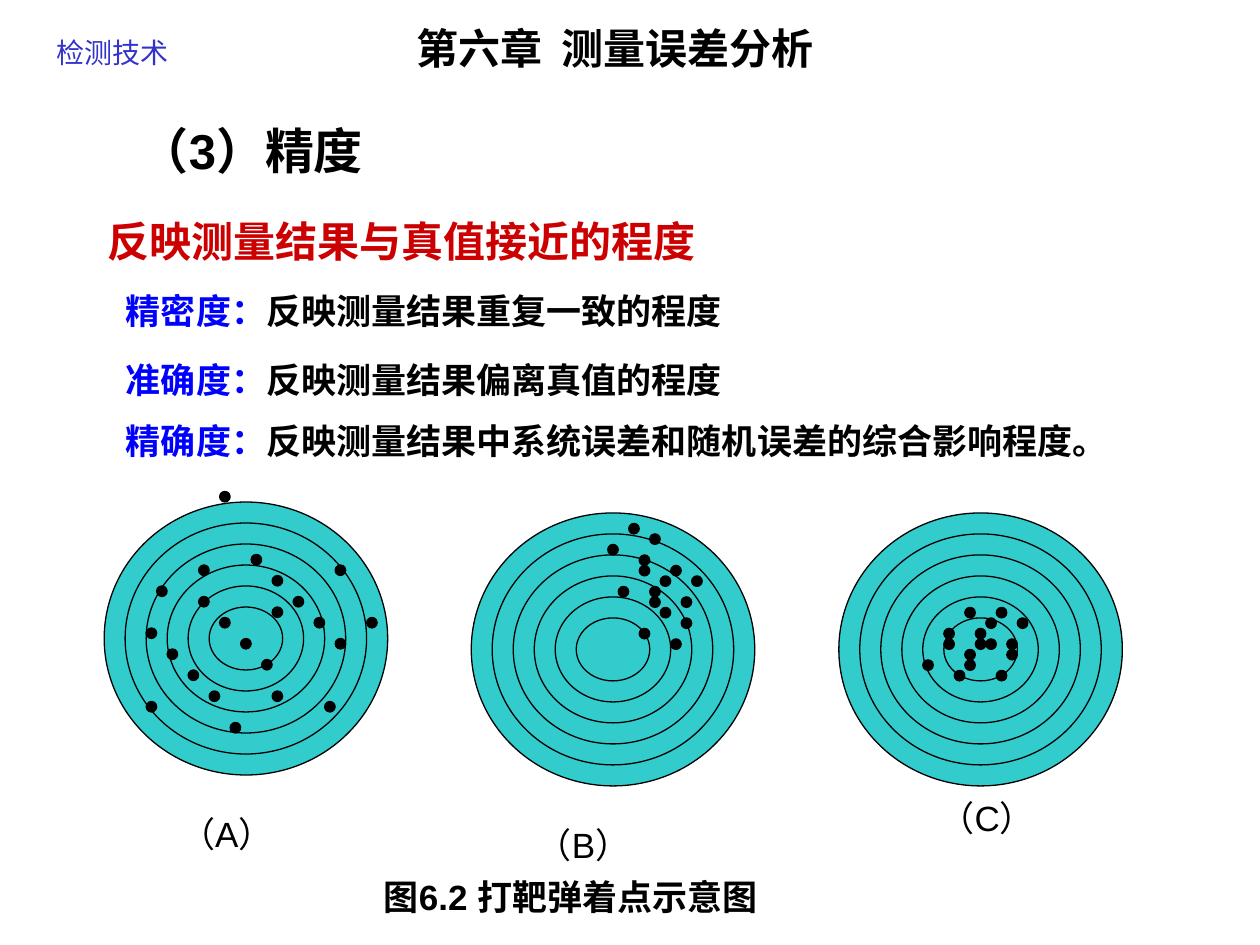
from dataclasses import dataclass

from pptx import Presentation
from pptx.dml.color import RGBColor
from pptx.enum.shapes import MSO_SHAPE as Shape
from pptx.enum.text import MSO_ANCHOR as Anchor, PP_ALIGN as Align
from pptx.util import Cm, Pt

BLACK = RGBColor(0, 0, 0)
RED = RGBColor(0xCC, 0, 0)
BLUE = RGBColor(0, 0, 0xFF)
INDIGO = RGBColor(0x33, 0x33, 0xCC)
TEAL = RGBColor(0x33, 0xCC, 0xCC)

STEP = Cm(2.54) / 12  # grid unit of rings and hits
RINGS = 6


@dataclass
class Label:
    """Text box in cm; words are (text, colour) pairs."""
    left: float
    top: float
    width: float
    height: float
    words: list
    size: int
    bold: bool = True
    font: str = "Arial"
    align: Align = Align.LEFT
    anchor: Anchor = Anchor.TOP
    wrap: bool = True


@dataclass
class Target:
    """Top left corner in cm; hits are (column, row) in grid steps."""
    left: float
    top: float
    hits: list


def row(col: int, line: int) -> list:
    """Four hits along a falling diagonal."""
    return [(col + 2 * i, line + 2 * i) for i in range(4)]


def knot(col: int, line: int) -> list:
    """Four hits in a tight cluster."""
    return [(col + x, line + y) for x, y in ((0, 0), (-3, -1), (-1, -3), (1, -2))]


def term(top: float, width: float, name: str, text: str, wrap: bool = True) -> Label:
    return Label(2.29, top, width, 1.12, [(name, BLUE), (text, BLACK)], 20, wrap=wrap)


def mark(left: float, top: float, letter: str) -> Label:
    return Label(left, top, 3.38, 1.12, [(f"（{letter}）", BLACK)], 20, bold=False)


LABELS = [
    Label(0.89, 0.56, 5.99, 0.97, [("检测技术", INDIGO)], 16, bold=False,
          font="Noto Sans CJK JP", anchor=Anchor.MIDDLE),
    Label(8.15, 0.33, 8.51, 1.27, [("第六章  测量误差分析", BLACK)], 24, wrap=False),
    Label(2.11, 2.31, 5.92, 1.45, [("（3）精度", BLACK)], 28, align=Align.CENTER),
    Label(1.91, 4.22, 21.59, 1.27, [("反映测量结果与真值接近的程度", RED)], 24),
    term(5.72, 14.88, "精密度：", "反映测量结果重复一致的程度"),
    term(7.11, 13.21, "准确度：", "反映测量结果偏离真值的程度"),
    term(8.33, 20.29, "精确度：",
         "反映测量结果中系统误差和随机误差的综合影响程度。", wrap=False),
    mark(3.38, 16.26, "A"),
    mark(10.57, 16.48, "B"),
    mark(18.69, 15.93, "C"),
    Label(7.49, 17.53, 12.27, 1.12, [("图6.2 打靶弹着点示意图", BLACK)], 20),
]

TARGETS = [
    Target(2.1, 10.12, row(14, 5) + row(9, 9) + row(4, 12) + [
        (5, 8), (16, 10), (16, 18), (9, 6), (22, 6), (22, 13),
        (21, 19), (12, 21), (4, 19), (11, -1), (25, 11)]),
    Target(9.5, 10.34, knot(20, 8) + knot(17, 8) + knot(16, 4) + knot(19, 12)),
    Target(16.91, 10.34, knot(13, 12) + knot(16, 12) + knot(11, 15) + knot(15, 15)),
]


def write(slide, label: Label) -> None:
    box = slide.shapes.add_textbox(Cm(label.left), Cm(label.top),
                                   Cm(label.width), Cm(label.height))
    frame = box.text_frame
    frame.word_wrap = label.wrap
    frame.vertical_anchor = label.anchor
    para = frame.paragraphs[0]
    para.alignment = label.align
    para.font.size = Pt(label.size)
    para.font.bold = label.bold
    para.font.name = label.font
    for text, color in label.words:
        run = para.add_run()
        run.text = text
        run.font.color.rgb = color


def disc(slide, target: Target, col: int, line: int,
         wide: int, high: int, color: RGBColor) -> None:
    """Draw an ellipse placed in grid steps from the target's corner."""
    oval = slide.shapes.add_shape(
        Shape.OVAL, round(Cm(target.left) + col * STEP),
        round(Cm(target.top) + line * STEP), round(wide * STEP), round(high * STEP))
    oval.shadow.inherit = False
    oval.fill.solid()
    oval.fill.fore_color.rgb = color
    oval.line.color.rgb = BLACK
    oval.line.width = Pt(0.75)


def draw(slide, target: Target) -> None:
    for i in range(RINGS):
        disc(slide, target, 2 * i, 2 * i, 27 - 4 * i, 26 - 4 * i, TEAL)
    for col, line in target.hits:
        disc(slide, target, col, line, 1, 1, BLACK)


def main() -> None:
    deck = Presentation()
    deck.slide_width, deck.slide_height = Cm(25.4), Cm(19.05)
    slide = deck.slides.add_slide(deck.slide_layouts[6])
    for target in TARGETS:
        draw(slide, target)
    for label in LABELS:
        write(slide, label)
    deck.save("out.pptx")


if __name__ == "__main__":
    main()
